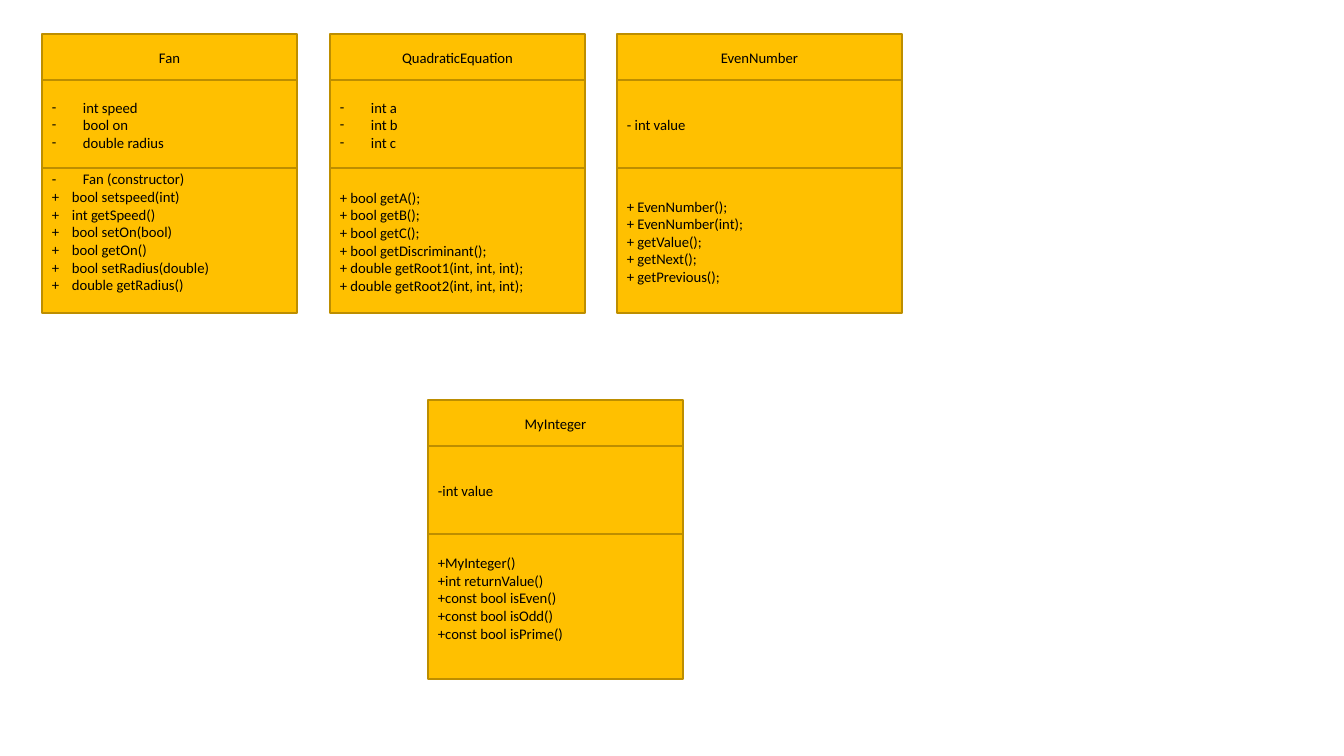
from dataclasses import dataclass
from typing import NamedTuple

from lxml import etree
from pptx import Presentation
from pptx import util as u
from pptx.dml import color
from pptx.enum import shapes, text
from pptx.oxml import ns

SCALE = 914400 / 100.8


class Theme(NamedTuple):
    fill: color.RGBColor = color.RGBColor(0xFF, 0xC0, 0x00)
    edge: color.RGBColor = color.RGBColor(0xBD, 0x8E, 0x00)
    ink: color.RGBColor = color.RGBColor(0, 0, 0)
    font: str = "Calibri"
    size: float = 10.5
    line: float = 1


class Row(NamedTuple):
    text: str
    hang: int = 0
    mark: str = ""


@dataclass
class Card:
    left: int
    top: int
    width: int
    name: str
    fields: list[Row]
    methods: list[Row]
    raised: bool = False


THEME = Theme()
HEIGHTS = 46, 88, 145
INSET = 10, 6, 10, 4
RAISED = 10, 1, 10, 18


def px(n: int) -> int:
    return round(n * SCALE)


def plain(*lines: str) -> list[Row]:
    return [Row(line) for line in lines]


def dashed(*lines: str) -> list[Row]:
    return [Row(line, 31, "-") for line in lines]


def plus(*lines: str) -> list[Row]:
    return [Row(f"+\t{line}", 20) for line in lines]


def write(para, row: Row, align) -> None:
    para.alignment = align
    run = para.add_run()
    run.text = row.text
    style = {"name": THEME.font, "size": u.Pt(THEME.size)}
    for key, value in style.items():
        setattr(run.font, key, value)
    run.font.color.rgb = THEME.ink
    props = para._p.get_or_add_pPr()
    if row.hang:
        props.set("marL", str(px(row.hang)))
        props.set("indent", str(-px(row.hang)))
    if row.mark:
        etree.SubElement(props, ns.qn("a:buFont")).set("typeface", THEME.font)
        etree.SubElement(props, ns.qn("a:buChar")).set("char", row.mark)


def box(group, card: Card, top: int, high: int, rows: list[Row], align, inset) -> None:
    shape = group.shapes.add_shape(
        shapes.MSO_SHAPE.RECTANGLE, *map(px, (card.left, top, card.width, high)))
    shape.shadow.inherit = False
    shape.fill.solid()
    shape.fill.fore_color.rgb = THEME.fill
    shape.line.color.rgb = THEME.edge
    shape.line.width = u.Pt(THEME.line)
    frame = shape.text_frame
    sides = "left", "top", "right", "bottom"
    style = {f"margin_{side}": px(n) for side, n in zip(sides, inset)}
    style |= {"word_wrap": True, "vertical_anchor": text.MSO_ANCHOR.MIDDLE}
    for key, value in style.items():
        setattr(frame, key, value)
    for i, row in enumerate(rows):
        write(frame.add_paragraph() if i else frame.paragraphs[0], row, align)


def draw(slide, card: Card) -> None:
    group = slide.shapes.add_group_shape()
    left, mid = text.PP_ALIGN.LEFT, text.PP_ALIGN.CENTER
    parts = (
        (plain(card.name), mid, INSET),
        (card.fields, left, INSET),
        (card.methods, left, RAISED if card.raised else INSET),
    )
    top = card.top
    for high, part in zip(HEIGHTS, parts):
        box(group, card, top, high, *part)
        top += high


CARDS = [
    Card(42, 34, 255, "Fan",
         dashed("int speed", "bool on", "double radius"),
         dashed("Fan (constructor)")
         + plus("bool setspeed(int)", "int getSpeed()", "bool setOn(bool)",
                "bool getOn()", "bool setRadius(double)", "double getRadius()"),
         raised=True),
    Card(330, 34, 255, "QuadraticEquation",
         dashed("int a", "int b", "int c"),
         plain("+ bool getA();", "+ bool getB();", "+ bool getC();",
               "+ bool getDiscriminant();",
               "+ double getRoot1(int, int, int);",
               "+ double getRoot2(int, int, int);")),
    Card(617, 34, 285, "EvenNumber",
         plain("- int value"),
         plain("+ EvenNumber();", "+ EvenNumber(int);", "+ getValue();",
               "+ getNext();", "+ getPrevious();")),
    Card(428, 400, 255, "MyInteger",
         plain("-int value"),
         plain("+MyInteger()", "+int returnValue()", "+const bool isEven()",
               "+const bool isOdd()", "+const bool isPrime()"),
         raised=True),
]

deck = Presentation()
deck.slide_width, deck.slide_height = px(1344), px(756)
page = deck.slides.add_slide(deck.slide_layouts[6])
for card in CARDS:
    draw(page, card)
deck.save("out.pptx")
